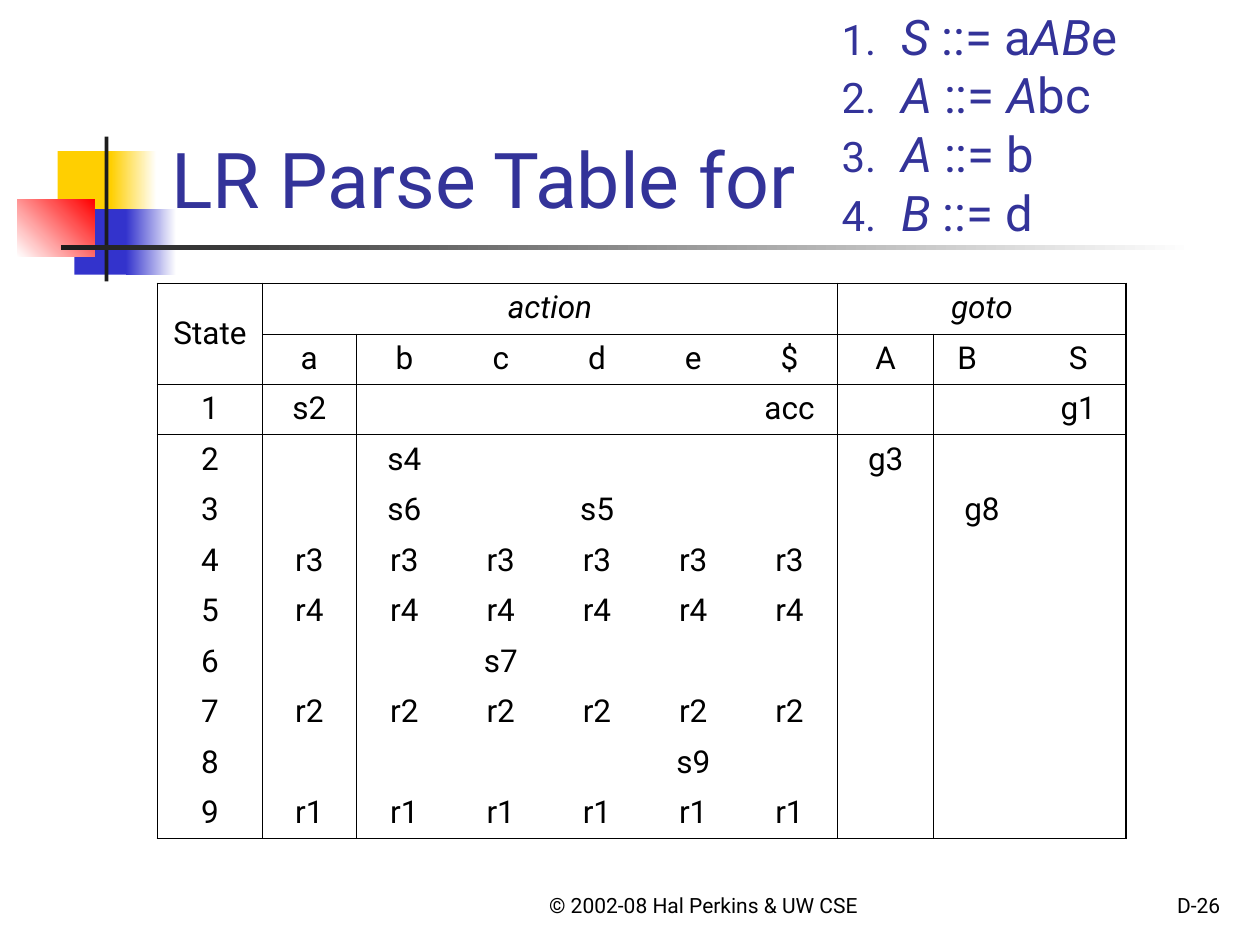
from itertools import groupby

from lxml.etree import SubElement
from pptx import Presentation
from pptx.dml.color import RGBColor
from pptx.enum.shapes import MSO_SHAPE as Shape
from pptx.enum.text import MSO_ANCHOR as Anchor, MSO_AUTO_SIZE as AutoSize, PP_ALIGN as Align
from pptx.oxml.ns import qn
from pptx.util import Pt

FONT = "Roboto"
BLACK = RGBColor(0x00, 0x00, 0x00)
WHITE = RGBColor(0xFF, 0xFF, 0xFF)
CHARCOAL = RGBColor(0x1C, 0x1C, 0x1C)
YELLOW = RGBColor(0xFF, 0xCF, 0x01)
BLUE = RGBColor(0x33, 0x33, 0xCC)
RED = RGBColor(0xFF, 0x00, 0x00)
NAVY = RGBColor(0x33, 0x33, 0x99)

THIN, THICK = 0.45, 1.08
NO_STYLE = "{2D5ABB26-0587-4C30-8999-92F81FD0307C}"
COLUMN_WIDTHS = (60, 53.5, 55.2) + (55,) * 7
ROW_HEIGHT = 28.8
GROUP_STARTS = (1, 7)
RULED_ROWS = (1, 2)

GRAMMAR = ("S ::= aABe", "A ::= Abc", "A ::= b", "B ::= d")
PARSE_TABLE = (
    "State action . . . . . goto . .",
    ". a b c d e $ A B S",
    "1 s2 . . . . acc . . g1",
    "2 . s4 . . . . g3 . .",
    "3 . s6 . s5 . . . g8 .",
    "4 r3 r3 r3 r3 r3 r3 . . .",
    "5 r4 r4 r4 r4 r4 r4 . . .",
    "6 . . s7 . . . . . .",
    "7 r2 r2 r2 r2 r2 r2 . . .",
    "8 . . . . s9 . . . .",
    "9 r1 r1 r1 r1 r1 r1 . . .",
)
ORNAMENT = (
    ((33, 86.4, 34.6, 37.4), (YELLOW,), 0),
    ((63.4, 86.4, 26, 37.4), (YELLOW, WHITE), 0),
    ((42.5, 119.5, 33, 37.4), (BLUE,), 0),
    ((72, 119.5, 28.8, 37.4), (BLUE, WHITE), 0),
    ((10, 113.8, 44, 33), (WHITE, RED), 45),
    ((59.8, 78, 2.2, 82.8), (CHARCOAL,), 0),
    ((34.6, 140.2, 648, 2.4), (CHARCOAL, WHITE), 0),
)


def points(box):
    """Turn a box of plain numbers into point lengths."""
    return [Pt(value) for value in box]


def style(paragraph, size, color, align=Align.LEFT):
    """Set the alignment and font of a whole paragraph."""
    paragraph.alignment = align
    font = paragraph.font
    font.name, font.size, font.color.rgb = FONT, Pt(size), color


def add_ornament(slide):
    """Draw the coloured blocks and the crossing bars."""
    for box, colors, angle in ORNAMENT:
        block = slide.shapes.add_shape(Shape.RECTANGLE, *points(box))
        block.shadow.inherit = False
        block.line.fill.background()
        if len(colors) == 1:
            block.fill.solid()
            block.fill.fore_color.rgb = colors[0]
            continue
        block.fill.gradient()
        block.fill.gradient_angle = angle
        for stop, color in zip(block.fill.gradient_stops, colors):
            stop.color.rgb = color


def add_title(slide, box, text):
    """Place the title at the foot of its box."""
    title = slide.shapes.title
    title.left, title.top, title.width, title.height = points(box)
    frame = title.text_frame
    frame.text = text
    frame.auto_size = AutoSize.NONE
    frame.vertical_anchor = Anchor.BOTTOM
    style(frame.paragraphs[0], 44, NAVY)


def add_footer(slide, box, text, align):
    """Write one footer line at the foot of its box."""
    frame = slide.shapes.add_textbox(*points(box)).text_frame
    frame.word_wrap = True
    frame.vertical_anchor = Anchor.BOTTOM
    frame.text = text
    style(frame.paragraphs[0], 12, BLACK, align)


def add_grammar(slide, box, rules):
    """List the numbered rules with their nonterminals in italics."""
    frame = slide.shapes.add_textbox(*points(box)).text_frame
    frame.word_wrap = True
    frame.auto_size = AutoSize.SHAPE_TO_FIT_TEXT
    for number, rule in enumerate(rules, 1):
        paragraph = frame.paragraphs[0] if number == 1 else frame.add_paragraph()
        properties = paragraph._p.get_or_add_pPr()
        properties.set("marL", str(Pt(34)))
        properties.set("indent", str(-Pt(34)))
        style(paragraph, 28, NAVY)
        label = paragraph.add_run()
        label.text = f"{number}."
        label.font.size = Pt(24)
        paragraph.add_run().text = "\t"
        for is_nonterminal, letters in groupby(rule, str.isupper):
            run = paragraph.add_run()
            run.text = "".join(letters)
            run.font.italic = is_nonterminal


def add_border(cell, side, width):
    """Draw one black edge of a cell."""
    line = SubElement(cell._tc.get_or_add_tcPr(), qn(f"a:ln{side}"), w=str(Pt(width)))
    fill = SubElement(line, qn("a:solidFill"))
    SubElement(fill, qn("a:srgbClr"), val=str(BLACK))


def edge_width(index, count, inner):
    """Give the width of the grid line before an index, or None."""
    if index in (0, count):
        return THICK
    return THIN if index in inner else None


def add_cell_borders(cell, row, column):
    """Draw the edges that a cell shares with the ruled grid."""
    rows, columns = len(PARSE_TABLE), len(COLUMN_WIDTHS)
    edges = (
        ("L", column, columns, GROUP_STARTS),
        ("R", column + cell.span_width, columns, GROUP_STARTS),
        ("T", row, rows, RULED_ROWS),
        ("B", row + cell.span_height, rows, RULED_ROWS),
    )
    for side, index, count, inner in edges:
        width = edge_width(index, count, inner)
        if width:
            add_border(cell, side, width)


def add_parse_table(slide, box):
    """Build the action and goto table."""
    shape = slide.shapes.add_table(len(PARSE_TABLE), len(COLUMN_WIDTHS), *points(box))
    table = shape.table
    table.first_row = table.horz_banding = False
    shape._element.find(f".//{qn('a:tableStyleId')}").text = NO_STYLE
    for column, width in zip(table.columns, COLUMN_WIDTHS):
        column.width = Pt(width)
    for row in table.rows:
        row.height = Pt(ROW_HEIGHT)
    table.cell(0, 0).merge(table.cell(1, 0))
    table.cell(0, 1).merge(table.cell(0, 6))
    table.cell(0, 7).merge(table.cell(0, 9))
    for row, line in enumerate(PARSE_TABLE):
        for column, text in enumerate(line.split()):
            cell = table.cell(row, column)
            if not cell.is_spanned:
                add_cell_borders(cell, row, column)
            cell.fill.background()
            paragraph = cell.text_frame.paragraphs[0]
            style(paragraph, 18, BLACK, Align.CENTER)
            if text != ".":
                paragraph.add_run().text = text
            paragraph.font.italic = row == 0 and column > 0
    table.cell(0, 0).vertical_anchor = Anchor.MIDDLE
    table.cell(1, 8).margin_right = Pt(24)


def main():
    """Build and save the slide."""
    presentation = Presentation()
    presentation.slide_width, presentation.slide_height = Pt(720), Pt(540)
    slide = presentation.slides.add_slide(presentation.slide_layouts[5])
    add_ornament(slide)
    add_footer(slide, (288, 492, 228, 36), "© 2002-08 Hal Perkins & UW CSE", Align.CENTER)
    add_footer(slide, (554.4, 492, 150, 36), "D-26", Align.RIGHT)
    add_title(slide, (90.7, 16.6, 613.4, 115.2), "LR Parse Table for")
    add_grammar(slide, (473.8, 0, 221.8, 141.8), GRAMMAR)
    add_parse_table(slide, (90, 162, 553, 316.8))
    presentation.save("out.pptx")


if __name__ == "__main__":
    main()
